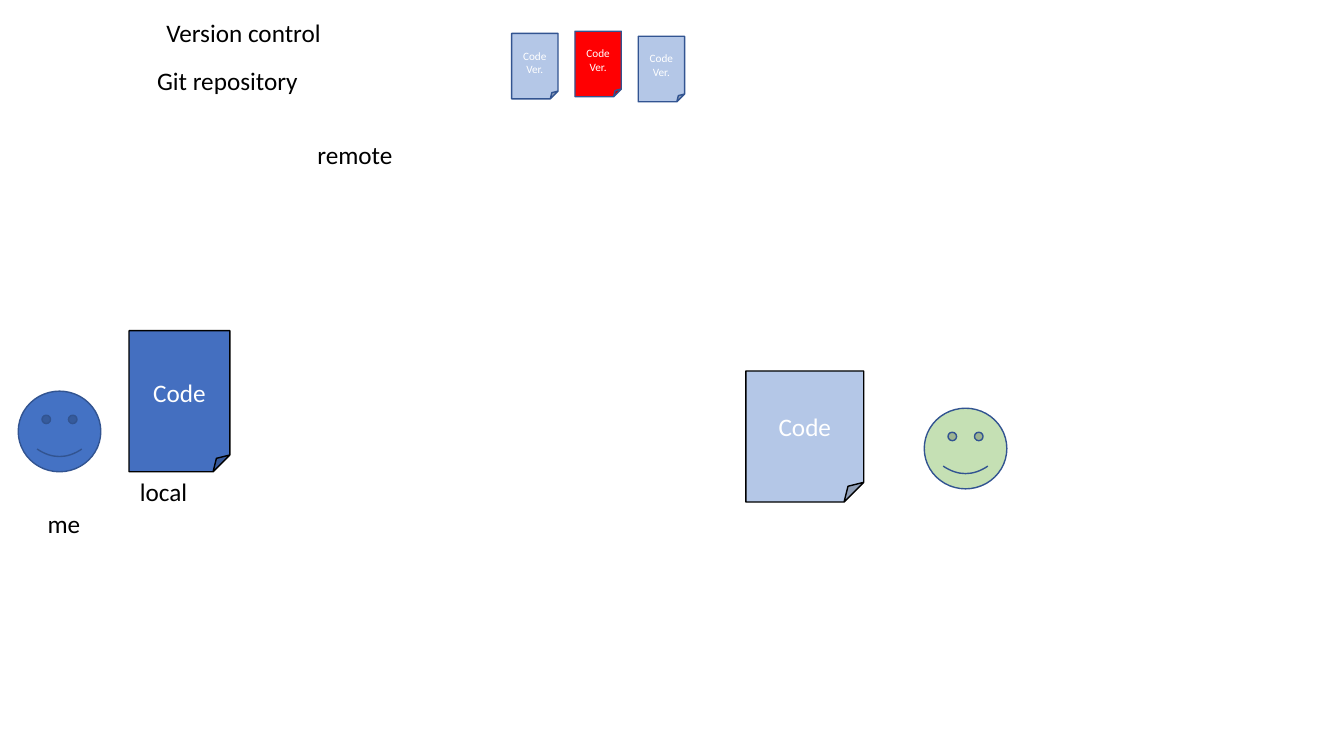
"""Build a slide showing local and remote code under version control."""
from pptx import Presentation
from pptx.dml.color import RGBColor
from pptx.enum.shapes import MSO_SHAPE
from pptx.enum.text import MSO_ANCHOR, MSO_AUTO_SIZE, PP_ALIGN
from pptx.util import Pt

FONT = "Calibri"
BLACK, WHITE, NAVY = "000000", "FFFFFF", "325491"
BLUE, PALE_BLUE, GREEN, RED = "4472C4", "B4C7E7", "C5E0B4", "FF0002"

TITLE = ("Version control", (111.6, 8.6, 167, 29))
LABELS = [
    ("Git repository", (105.1, 43.2, 167, 29), PP_ALIGN.LEFT),
    ("remote", (219.6, 95.8, 118.8, 29), PP_ALIGN.LEFT),
    ("local", (92.9, 337, 118.8, 29), PP_ALIGN.LEFT),
    ("me", (3.6, 359.3, 84.2, 29), PP_ALIGN.CENTER),
]
CODE_PAGES = [
    ((92.2, 236.2, 72, 100.8), "446FC0"),
    ((532.8, 265, 84.2, 93.6), PALE_BLUE),
]
FACES = [((13, 279.4), BLUE), ((660.2, 291.6), GREEN)]
FACE_SIZE = (59, 57.6)
VERSIONS = [(23.8, PALE_BLUE), (22.3, RED), (25.9, PALE_BLUE)]
VERSION_LEFT, VERSION_STEP = 365.5, 45.2
VERSION_SIZE = (33.1, 46.8)


def color(value):
    return RGBColor.from_string(value)


def points(box):
    return [Pt(length) for length in box]


def write(shape, lines, size, font_color, alignment, anchor):
    frame = shape.text_frame
    frame.text = "\n".join(lines)
    frame_format = {"word_wrap": True, "auto_size": MSO_AUTO_SIZE.NONE, "vertical_anchor": anchor}
    for name, value in frame_format.items():
        setattr(frame, name, value)
    for paragraph in frame.paragraphs:
        paragraph.alignment = alignment
        for name, value in {"name": FONT, "size": Pt(size)}.items():
            setattr(paragraph.font, name, value)
        paragraph.font.color.rgb = color(font_color)


def add_figure(slide, kind, box, fill, line):
    shape = slide.shapes.add_shape(kind, *points(box))
    shape.shadow.inherit = False
    shape.fill.solid()
    shape.fill.fore_color.rgb = color(fill)
    shape.line.color.rgb = color(line)
    shape.line.width = Pt(1)
    return shape


def add_page(slide, box, fill, line, lines, size):
    page = add_figure(slide, MSO_SHAPE.FOLDED_CORNER, box, fill, line)
    write(page, lines, size, WHITE, PP_ALIGN.CENTER, MSO_ANCHOR.MIDDLE)


def add_title(slide, text, box):
    title = slide.shapes.title
    for name, value in zip(("left", "top", "width", "height"), points(box)):
        setattr(title, name, value)
    write(title, [text], 18, BLACK, PP_ALIGN.LEFT, MSO_ANCHOR.TOP)


def main():
    presentation = Presentation()
    presentation.slide_width, presentation.slide_height = Pt(960), Pt(540)
    slide = presentation.slides.add_slide(presentation.slide_layouts[5])

    add_title(slide, *TITLE)
    for text, box, alignment in LABELS:
        label = slide.shapes.add_textbox(*points(box))
        write(label, [text], 18, BLACK, alignment, MSO_ANCHOR.TOP)
    for box, fill in CODE_PAGES:
        add_page(slide, box, fill, BLACK, ["Code"], 18)
    for position, fill in FACES:
        add_figure(slide, MSO_SHAPE.SMILEY_FACE, position + FACE_SIZE, fill, NAVY)
    for index, (top, fill) in enumerate(VERSIONS):
        left = VERSION_LEFT + index * VERSION_STEP
        add_page(slide, (left, top) + VERSION_SIZE, fill, NAVY, ["Code", "Ver."], 8)

    presentation.save("out.pptx")


if __name__ == "__main__":
    main()
